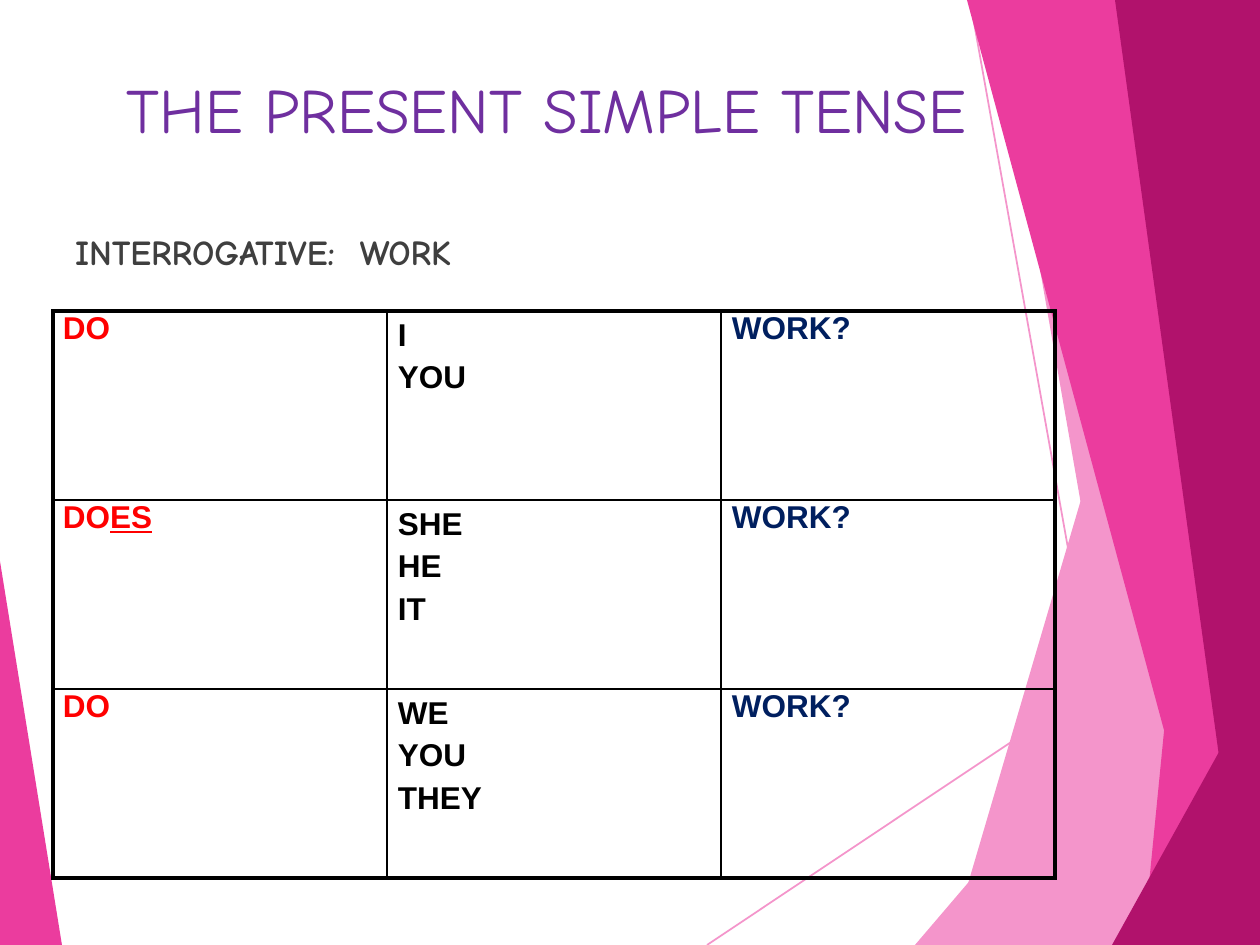
from lxml import etree
from pptx import Presentation
from pptx import util as u
from pptx.dml.color import RGBColor
from pptx.enum import shapes, text
from pptx.oxml.ns import qn

SCALE = 914400 / 126
PALE, PINK, DEEP = "F495CB", "EB3C9E", "B1126C"
RED, BLACK, NAVY = "FF0000", "000000", "001F5F"
RIGHT_SHAPES = [
    (PALE, [(1228, 0), (950, 945), (1260, 945), (1260, 0)]),
    (PALE, [(993, 0), (1158, 945), (1260, 945), (1260, 0)]),
    (PALE, [(1260, 541), (915, 945), (1260, 945)]),
    (PINK, [(967, 0), (1222, 945), (1260, 945), (1260, 0)]),
    (PINK, [(1236, 0), (1143, 945), (1260, 945), (1260, 0)]),
    (DEEP, [(1115, 0), (1245, 945), (1260, 945), (1260, 0)]),
    (DEEP, [(1260, 678), (1112, 945), (1260, 945)]),
]
LEFT_SHAPE = (PINK, [(0, 561), (0, 945), (62, 945)])
RAYS = [(707, 945, 1260, 576), (970, 0, 1139, 945)]
ROWS = [
    (("DO", ""), ["I", "YOU"]),
    (("DO", "ES"), ["SHE", "HE", "IT"]),
    (("DO", ""), ["WE", "YOU", "THEY"]),
]


def px(length):
    """Turn a length in px into EMU."""
    return u.Emu(round(length * SCALE))


def colour(value):
    """Turn a hex string into a colour."""
    return RGBColor.from_string(value)


def set_font(para, name, size, value, bold):
    """Format every run of a paragraph."""
    font = para.font
    font.name, font.size, font.bold = name, u.Pt(size), bold
    font.color.rgb = colour(value)


def set_margins(area, left, top=0):
    """Set the insets of a text frame or a cell."""
    area.margin_left, area.margin_top = px(left), px(top)
    area.margin_right = area.margin_bottom = 0


def add_polygon(page, value, points):
    """Draw a filled outline."""
    builder = page.shapes.build_freeform(*points[0], scale=SCALE)
    builder.add_line_segments(points[1:], close=True)
    polygon = builder.convert_to_shape()
    polygon.shadow.inherit = False
    polygon.fill.solid()
    polygon.fill.fore_color.rgb = colour(value)
    polygon.line.fill.background()


def add_ray(page, ends):
    """Draw a thin pale line."""
    ray = page.shapes.add_connector(shapes.MSO_CONNECTOR.STRAIGHT, *map(px, ends))
    ray.line.color.rgb = colour(PALE)
    ray.line.width = u.Pt(1)
    etree.SubElement(ray._element.spPr, qn("a:effectLst"))


def add_backdrop(page):
    """Draw the pink facets at both edges."""
    for ends in RAYS:
        add_ray(page, ends)
    for value, points in [*RIGHT_SHAPES, LEFT_SHAPE]:
        add_polygon(page, value, points)


def add_title(page, left, top, width, height):
    """Place the slide title."""
    title = page.shapes.title
    title.left, title.top, title.width, title.height = map(px, (left, top, width, height))
    frame = title.text_frame
    frame.text = "THE PRESENT SIMPLE TENSE"
    frame.auto_size = text.MSO_AUTO_SIZE.NONE
    frame.vertical_anchor = text.MSO_ANCHOR.TOP
    set_margins(frame, 53, 10)
    para = frame.paragraphs[0]
    para.alignment = text.PP_ALIGN.LEFT
    set_font(para, "Comic Neue", 36, "6F2F9F", False)


def add_subtitle(page, left, top, width, height):
    """Place the line that names the verb form."""
    box = page.shapes.add_textbox(*map(px, (left, top, width, height)))
    frame = box.text_frame
    frame.word_wrap = True
    frame.text = "INTERROGATIVE:  WORK"
    set_margins(frame, 1)
    set_font(frame.paragraphs[0], "Comic Neue", 20, "3F3F3F", True)


def set_borders(cell, widths):
    """Draw the left, right, top and bottom borders of a cell."""
    props = cell._tc.get_or_add_tcPr()
    for index, (side, width) in enumerate(zip("LRTB", widths)):
        line = etree.Element(qn(f"a:ln{side}"), w=str(u.Pt(width)))
        fill = etree.SubElement(line, qn("a:solidFill"))
        etree.SubElement(fill, qn("a:srgbClr"), val=BLACK)
        props.insert(index, line)


def fill_cell(cell, lines, value, indent, spacing=1.0):
    """Write the lines of a cell, one paragraph each."""
    frame = cell.text_frame
    frame.text = "\n".join(lines)
    set_margins(cell, indent)
    cell.fill.background()
    for para in frame.paragraphs:
        para.line_spacing = spacing
        set_font(para, "Arial", 18, value, True)


def add_verb_table(page, left, top, width, height):
    """Build the table of auxiliary, subject and verb."""
    count = len(ROWS)
    table = page.shapes.add_table(count, 3, *map(px, (left, top, width, height))).table
    table.first_row = table.horz_banding = False
    for r, ((stem, ending), subjects) in enumerate(ROWS):
        auxiliary, subject, verb = table.rows[r].cells
        fill_cell(auxiliary, [stem], RED, 10)
        if ending:
            span = auxiliary.text_frame.paragraphs[0].add_run()
            span.text = ending
            span.font.underline = True
        fill_cell(subject, subjects, BLACK, 11, 1.2)
        fill_cell(verb, ["WORK?"], NAVY, 11)
        for c, cell in enumerate((auxiliary, subject, verb)):
            outer = (c == 0, c == 2, r == 0, r == count - 1)
            set_borders(cell, [2.25 if edge else 1 for edge in outer])


def main():
    """Build and save the deck."""
    deck = Presentation()
    deck.slide_width, deck.slide_height = px(1260), px(945)
    page = deck.slides.add_slide(deck.slide_layouts[5])
    add_backdrop(page)
    add_title(page, 74, 60, 1113, 158)
    add_subtitle(page, 74, 231, 446, 39)
    add_verb_table(page, 53, 311, 1002, 567)
    deck.save("out.pptx")


if __name__ == "__main__":
    main()
